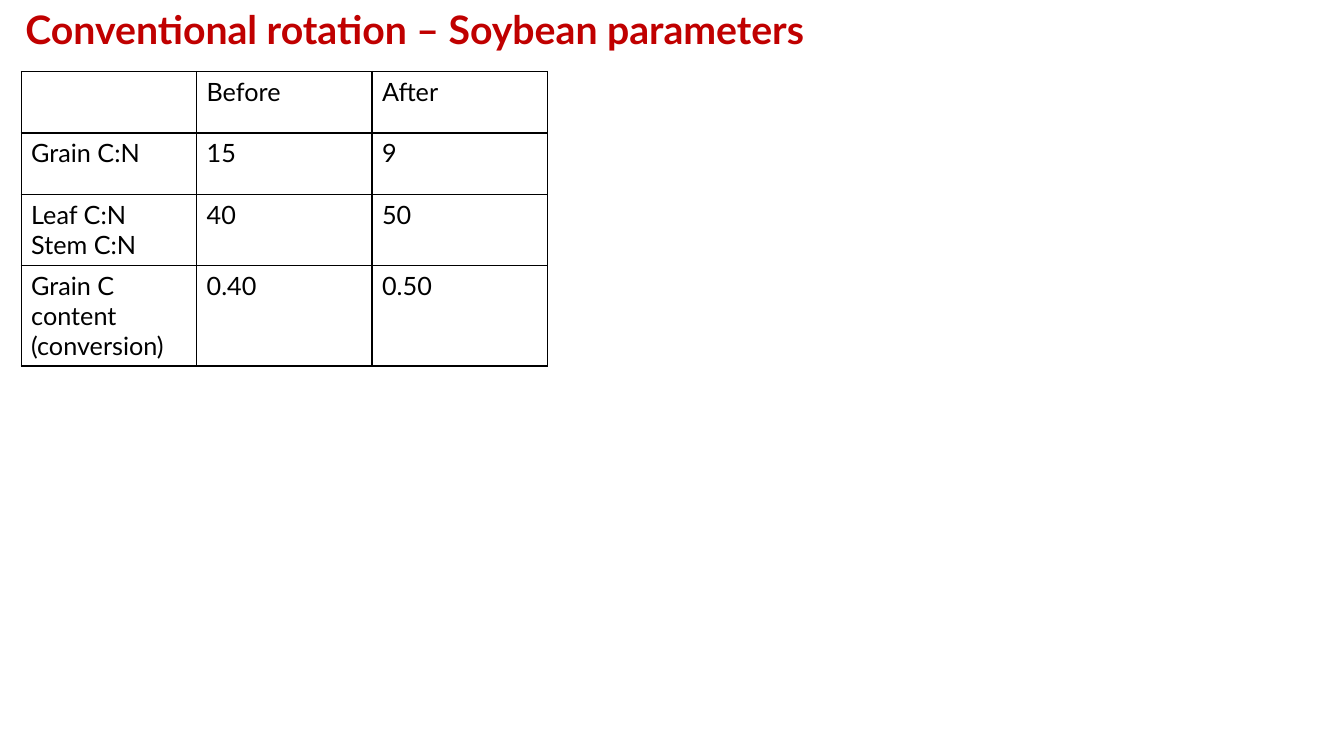
from lxml import etree
from pptx import Presentation
from pptx import util as u
from pptx.dml.color import RGBColor
from pptx.enum import text
from pptx.oxml.ns import qn

COLORS = {"title": "C00000", "text": "000000", "border": "000000", "paper": "FFFFFF"}
FONT = "Lato"
WIDTH, HEIGHT = u.Inches(13.33), u.Inches(7.5)
COLUMN_WIDTH = u.Inches(1.74)
ROW_HEIGHTS = [0.61, 0.61, 0.7, 1.0]
PARAMETERS = [
    ("", "Before", "After"),
    ("Grain C:N", "15", "9"),
    ("Leaf C:N\nStem C:N", "40", "50"),
    ("Grain C content (conversion)", "0.40", "0.50"),
]


def color(name):
    return RGBColor.from_string(COLORS[name])


def format_text(frame, size, color_name, alignment, bold=False):
    for paragraph in frame.paragraphs:
        paragraph.alignment = alignment
        font = paragraph.font
        font.name, font.size, font.bold = FONT, u.Pt(size), bold
        font.color.rgb = color(color_name)


def add_title(slide, wording):
    title = slide.shapes.title
    title.left, title.top = 0, 0
    title.width, title.height = int(WIDTH * 0.617), int(HEIGHT * 0.076)
    frame = title.text_frame
    frame.text = wording
    frame.word_wrap = True
    frame.auto_size = text.MSO_AUTO_SIZE.SHAPE_TO_FIT_TEXT
    frame.vertical_anchor = text.MSO_ANCHOR.TOP
    format_text(frame, 28, "title", text.PP_ALIGN.CENTER, bold=True)


def add_borders(cell):
    properties = cell._tc.get_or_add_tcPr()
    for position, side in enumerate(("lnL", "lnR", "lnT", "lnB")):
        line = etree.Element(qn(f"a:{side}"), w=str(u.Pt(1)))
        fill = etree.SubElement(line, qn("a:solidFill"))
        etree.SubElement(fill, qn("a:srgbClr"), val=COLORS["border"])
        properties.insert(position, line)


def add_grid(slide, rows):
    columns = len(rows[0])
    frame = slide.shapes.add_table(
        len(rows), columns, u.Inches(0.21), u.Inches(0.71),
        COLUMN_WIDTH * columns, u.Inches(sum(ROW_HEIGHTS)))
    table = frame.table
    table.first_row = table.horz_banding = False
    for column in table.columns:
        column.width = COLUMN_WIDTH
    for row, height, values in zip(table.rows, ROW_HEIGHTS, rows):
        row.height = u.Inches(height)
        for cell, value in zip(row.cells, values):
            cell.text = value
            cell.fill.solid()
            cell.fill.fore_color.rgb = color("paper")
            add_borders(cell)
            format_text(cell.text_frame, 18, "text", text.PP_ALIGN.LEFT)


def main():
    presentation = Presentation()
    presentation.slide_width, presentation.slide_height = WIDTH, HEIGHT
    slide = presentation.slides.add_slide(presentation.slide_layouts[5])
    add_title(slide, "Conventional rotation – Soybean parameters")
    add_grid(slide, PARAMETERS)
    presentation.save("out.pptx")


if __name__ == "__main__":
    main()
